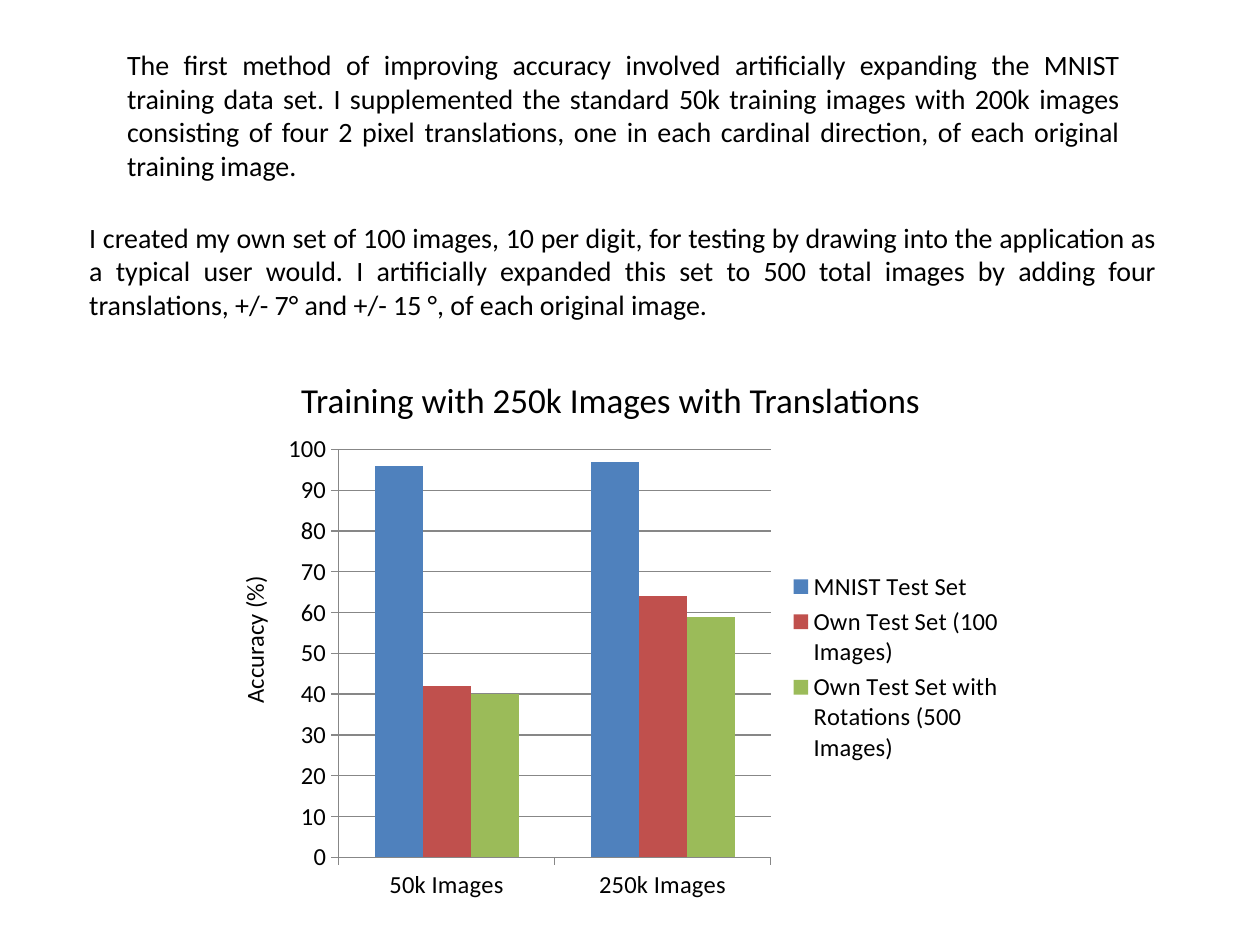
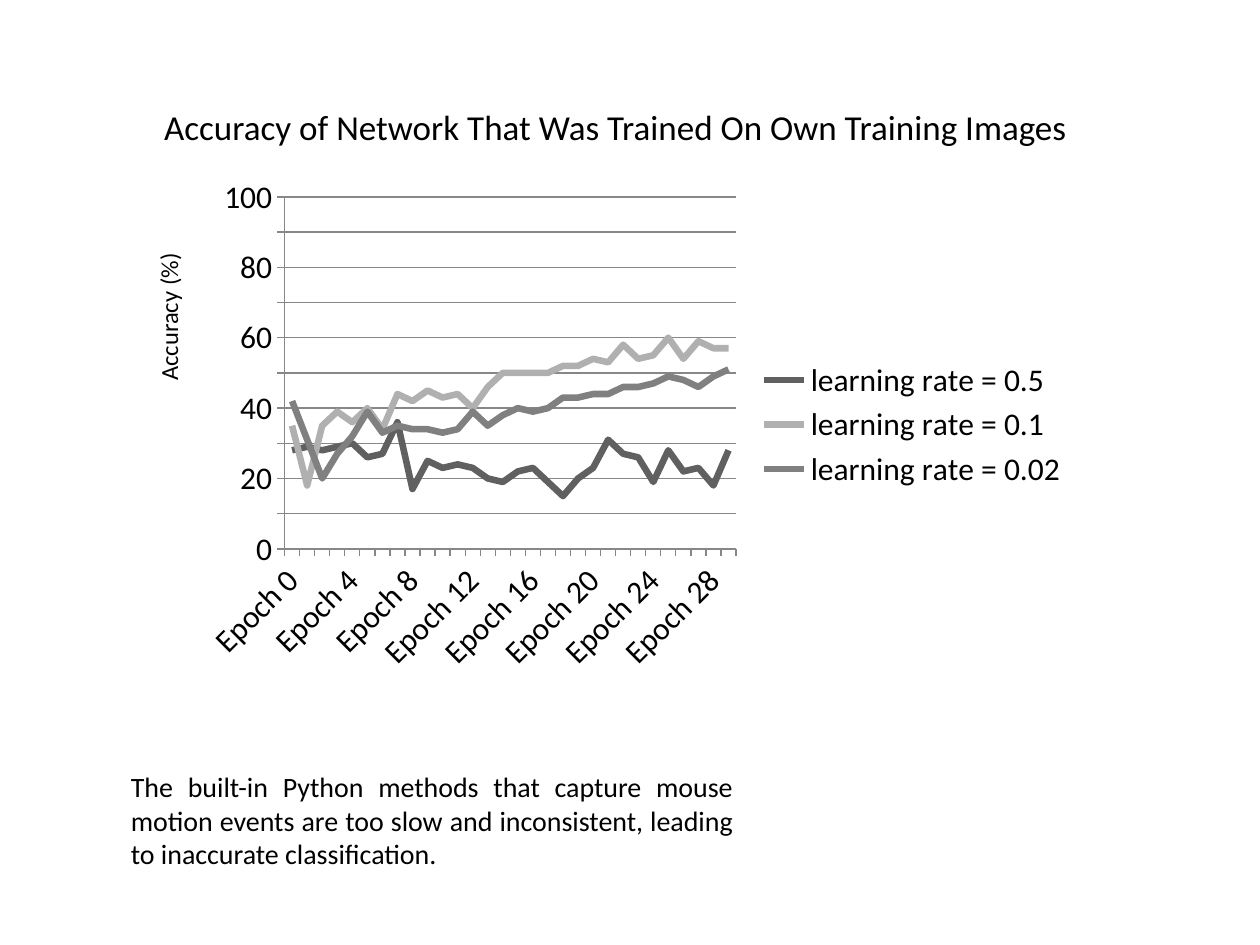
from pptx import Presentation
from pptx import util as u
from pptx.chart import data as chart_data
from pptx.dml import color
from pptx.enum import chart as chart_enum
from pptx.enum import text

COLOURS = {
    "ink": "000000",
    "grid": "878787",
    "blue": "4F81BD",
    "red": "C0504D",
    "green": "9BBB59",
    "dark_grey": "606060",
    "light_grey": "B0B0B0",
    "mid_grey": "808080",
}
FONT = "Calibri"
TITLE_SIZE, BODY_SIZE, LABEL_SIZE, CHART_SIZE = 20, 16, 14, 18


class SlideBuilder:
    def __init__(self, presentation):
        self.presentation = presentation
        self.slide = None

    def rgb(self, name):
        return color.RGBColor.from_string(COLOURS[name])

    def style_font(self, font, size):
        font.name = FONT
        font.size = u.Pt(size)
        font.bold = False
        font.color.rgb = self.rgb("ink")

    def fill_text(self, shape, content, size, alignment, wrap):
        frame = shape.text_frame
        frame.text = content
        frame.word_wrap = wrap
        frame.auto_size = text.MSO_AUTO_SIZE.SHAPE_TO_FIT_TEXT
        frame.vertical_anchor = text.MSO_ANCHOR.TOP
        paragraph = frame.paragraphs[0]
        paragraph.alignment = alignment
        self.style_font(paragraph.runs[0].font, size)

    def add_slide(self, title, left, top, width, alignment):
        layout = self.presentation.slide_layouts.get_by_name("Title Only")
        self.slide = self.presentation.slides.add_slide(layout)
        shape = self.slide.shapes.title
        shape.left, shape.top = u.Inches(left), u.Inches(top)
        shape.width, shape.height = u.Inches(width), u.Inches(0.44)
        self.fill_text(shape, title, TITLE_SIZE, alignment, False)

    def add_box(self, left, top, width, height):
        return self.slide.shapes.add_textbox(
            u.Inches(left), u.Inches(top), u.Inches(width), u.Inches(height))

    def add_body(self, content, left, top, width, height):
        shape = self.add_box(left, top, width, height)
        self.fill_text(shape, content, BODY_SIZE, text.PP_ALIGN.JUSTIFY, True)

    def add_axis_label(self, content, left, top):
        shape = self.add_box(left, top, 0.44, 1.12)
        self.fill_text(shape, content, LABEL_SIZE, text.PP_ALIGN.LEFT, False)
        shape.rotation = 180
        shape.element.txBody.bodyPr.set("vert", "eaVert")

    def add_chart(self, kind, left, top, width, height, categories, series, size):
        values = chart_data.CategoryChartData()
        values.categories = categories
        for name, numbers, _ in series:
            values.add_series(name, numbers)
        chart = self.slide.shapes.add_chart(
            kind, u.Inches(left), u.Inches(top), u.Inches(width),
            u.Inches(height), values).chart
        self.style_font(chart.font, CHART_SIZE)
        chart.has_title = False
        chart.has_legend = True
        chart.legend.position = chart_enum.XL_LEGEND_POSITION.RIGHT
        chart.legend.include_in_layout = False
        self.style_font(chart.legend.font, size)
        for axis in (chart.category_axis, chart.value_axis):
            axis.major_tick_mark = chart_enum.XL_TICK_MARK.OUTSIDE
            axis.minor_tick_mark = chart_enum.XL_TICK_MARK.NONE
            axis.format.line.color.rgb = self.rgb("grid")
            self.style_font(axis.tick_labels.font, size)
        axis = chart.value_axis
        axis.minimum_scale, axis.maximum_scale, axis.major_unit = 0, 100, 10
        axis.has_major_gridlines = True
        axis.major_gridlines.format.line.color.rgb = self.rgb("grid")
        return chart

    def add_column_chart(self, left, top, width, height, categories, series):
        chart = self.add_chart(
            chart_enum.XL_CHART_TYPE.COLUMN_CLUSTERED, left, top, width, height,
            categories, series, LABEL_SIZE)
        plot = chart.plots[0]
        plot.vary_by_categories = False
        plot.gap_width, plot.overlap = 150, 0
        for bars, (_, _, colour) in zip(plot.series, series):
            bars.format.fill.solid()
            bars.format.fill.fore_color.rgb = self.rgb(colour)

    def add_line_chart(self, left, top, width, height, categories, series):
        chart = self.add_chart(
            chart_enum.XL_CHART_TYPE.LINE, left, top, width, height,
            categories, series, CHART_SIZE)
        plot = chart.plots[0]
        plot.vary_by_categories = False
        for line, (_, _, colour) in zip(plot.series, series):
            line.smooth = False
            line.marker.style = chart_enum.XL_MARKER_STYLE.NONE
            line.format.line.width = u.Pt(3.75)
            line.format.line.color.rgb = self.rgb(colour)


def add_translations_slide(builder):
    builder.add_slide("Training with 250k Images with Translations",
                      2.29, 2.95, 5.16, text.PP_ALIGN.LEFT)
    builder.add_column_chart(
        2.17, 3.37, 5.9, 3.85, ["50k Images", "250k Images"], [
            ("MNIST Test Set", [96, 97], "blue"),
            ("Own Test Set (100 Images)", [42, 64], "red"),
            ("Own Test Set with Rotations (500 Images)", [40, 59], "green"),
        ])
    builder.add_body(
        "The first method of improving accuracy involved artificially expanding "
        "the MNIST training data set. I supplemented the standard 50k training "
        "images with 200k images consisting of four 2 pixel translations, one in "
        "each cardinal direction, of each original training image.",
        0.91, 0.33, 8.08, 1.18)
    builder.add_body(
        "I created my own set of 100 images, 10 per digit, for testing by drawing "
        "into the application as a typical user would. I artificially expanded "
        "this set to 500 total images by adding four translations, +/- 7° and "
        "+/- 15 °, of each original image.",
        0.61, 1.7, 8.67, 0.91)
    builder.add_axis_label("Accuracy (%)", 1.85, 4.56)


def add_learning_rate_slide(builder):
    builder.add_slide("Accuracy of Network That Was Trained On Own Training Images",
                      1.17, 0.79, 7.43, text.PP_ALIGN.CENTER)
    builder.add_line_chart(
        1.5, 1.33, 7.08, 4.08, [f"Epoch {number}" for number in range(30)], [
            ("learning rate = 0.5",
             [28, 29, 28, 29, 30, 26, 27, 36, 17, 25, 23, 24, 23, 20, 19,
              22, 23, 19, 15, 20, 23, 31, 27, 26, 19, 28, 22, 23, 18, 28],
             "dark_grey"),
            ("learning rate = 0.1",
             [35, 18, 35, 39, 36, 40, 34, 44, 42, 45, 43, 44, 40, 46, 50,
              50, 50, 50, 52, 52, 54, 53, 58, 54, 55, 60, 54, 59, 57, 57],
             "light_grey"),
            ("learning rate = 0.02",
             [42, 31, 20, 27, 32, 39, 33, 35, 34, 34, 33, 34, 39, 35, 38,
              40, 39, 40, 43, 43, 44, 44, 46, 46, 47, 49, 48, 46, 49, 51],
             "mid_grey"),
        ])
    builder.add_axis_label("Accuracy (%)", 1.17, 2)
    builder.add_body(
        "The built-in Python methods that capture mouse motion events are too "
        "slow and inconsistent, leading to inaccurate classification.",
        0.94, 6.06, 4.98, 0.91)


def main():
    presentation = Presentation()
    presentation.slide_width = u.Inches(10)
    presentation.slide_height = u.Inches(7.5)
    builder = SlideBuilder(presentation)
    add_translations_slide(builder)
    add_learning_rate_slide(builder)
    presentation.save("out.pptx")


if __name__ == "__main__":
    main()
